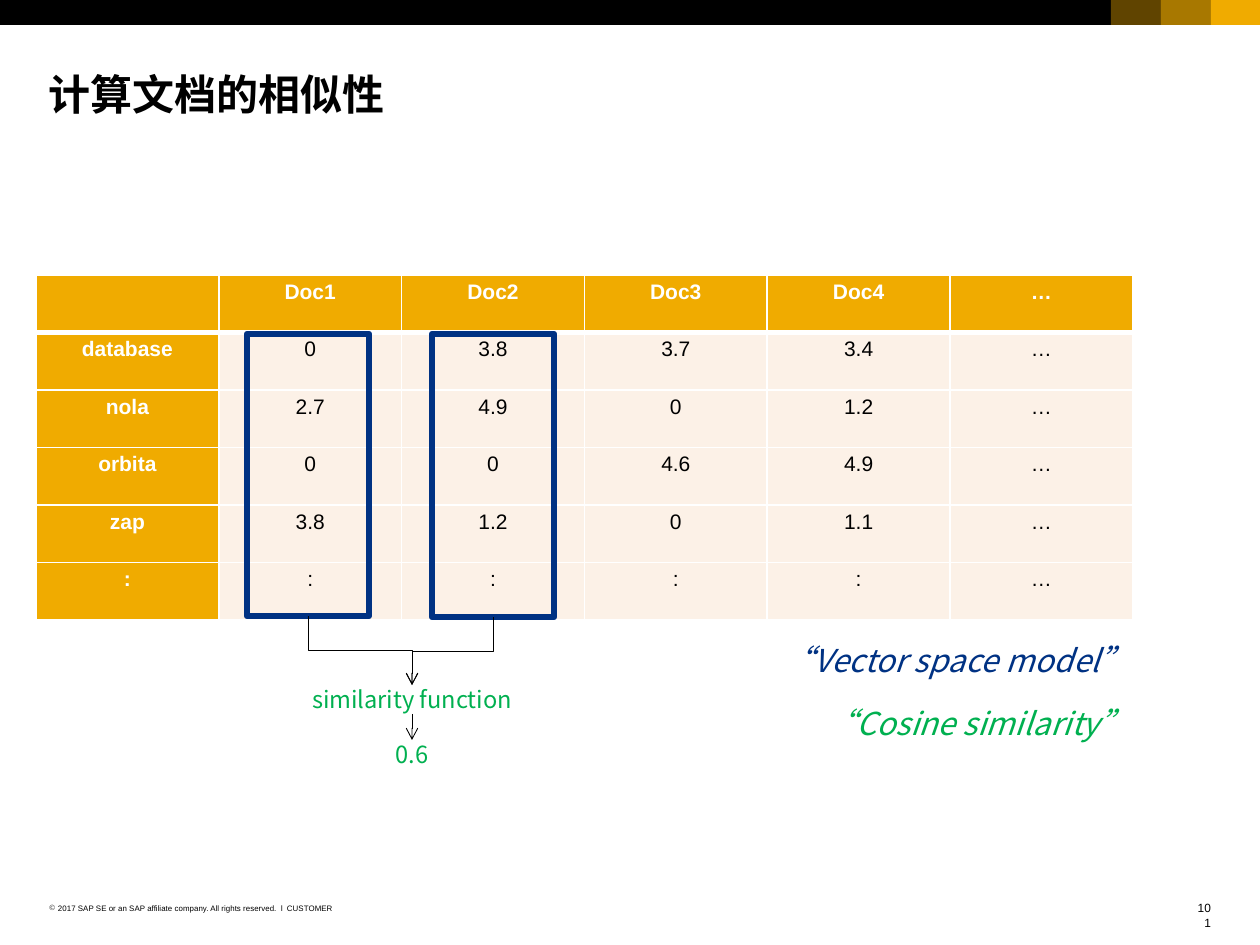
from dataclasses import dataclass

import pptx
import pptx.dml.color
import pptx.enum.shapes
import pptx.enum.text
import pptx.oxml
import pptx.oxml.ns
import pptx.util
from lxml import etree

RGB = pptx.dml.color.RGBColor
ALIGN = pptx.enum.text.PP_ALIGN
KIND = pptx.enum.shapes.MSO_CONNECTOR
RECT = pptx.enum.shapes.MSO_SHAPE.RECTANGLE
qn = pptx.oxml.ns.qn

BLACK = RGB(0x00, 0x00, 0x00)
WHITE = RGB(0xFF, 0xFF, 0xFF)
GOLD = RGB(0xF0, 0xAB, 0x00)
CREAM = RGB(0xFC, 0xF1, 0xE7)
NAVY = RGB(0x00, 0x32, 0x83)
GREEN = RGB(0x00, 0xB0, 0x50)
ARIAL = "Arial"
NOTO = "Noto Sans CJK SC"

ROWS = [
    ["", "Doc1", "Doc2", "Doc3", "Doc4", "…"],
    ["database", "0", "3.8", "3.7", "3.4", "…"],
    ["nola", "2.7", "4.9", "0", "1.2", "…"],
    ["orbita", "0", "0", "4.6", "4.9", "…"],
    ["zap", "3.8", "1.2", "0", "1.1", "…"],
    [":", ":", ":", ":", ":", "…"],
]


@dataclass
class Box:
    left: int
    top: int
    width: int
    height: int


@dataclass
class Label:
    text: str
    box: Box
    size: float
    color: RGB = BLACK
    font: str = NOTO
    align: ALIGN = ALIGN.LEFT
    bold: bool = False
    italic: bool = False
    bullet: str = ""
    indent: int = 0


def px(n: float) -> pptx.util.Emu:
    return pptx.util.Emu(round(n * 914400 / 126))


def place(box: Box) -> tuple:
    return px(box.left), px(box.top), px(box.width), px(box.height)


def style(para, size: float, color: RGB, font: str, bold=False, italic=False) -> None:
    for run in para.runs:
        face = run.font
        face.size = pptx.util.Pt(size)
        face.name = font
        face.bold = bold
        face.italic = italic
        face.color.rgb = color
        if font == NOTO:
            etree.SubElement(face._element, qn("a:ea"), typeface=font)


def add_label(slide, item: Label):
    shape = slide.shapes.add_textbox(*place(item.box))
    frame = shape.text_frame
    frame.word_wrap = True
    frame.margin_left = frame.margin_right = 0
    frame.margin_top = frame.margin_bottom = 0
    frame.text = item.text
    para = frame.paragraphs[0]
    para.alignment = item.align
    if item.bullet:
        props = para._p.get_or_add_pPr()
        props.set("marL", str(px(item.indent)))
        props.set("indent", str(-px(item.indent)))
        etree.SubElement(props, qn("a:buChar"), char=item.bullet)
    style(para, item.size, item.color, item.font, item.bold, item.italic)
    return shape


def add_bar(slide, box: Box, color: RGB, alpha: int = 100) -> None:
    bar = slide.shapes.add_shape(RECT, *place(box))
    bar.shadow.inherit = False
    bar.line.fill.background()
    bar.fill.solid()
    bar.fill.fore_color.rgb = color
    if alpha < 100:
        tint = bar._element.spPr.find(".//" + qn("a:srgbClr"))
        etree.SubElement(tint, qn("a:alpha"), val=str(alpha * 1000))


def add_frame(slide, box: Box) -> None:
    frame = slide.shapes.add_shape(RECT, *place(box))
    frame.shadow.inherit = False
    frame.fill.background()
    frame.line.color.rgb = NAVY
    frame.line.width = pptx.util.Pt(3.75)


def edge(cell, sides: str, width: int) -> None:
    props = cell._tc.get_or_add_tcPr()
    for spot, side in enumerate(sides):
        props.insert(spot, pptx.oxml.parse_xml(
            f'<a:ln{side} {pptx.oxml.ns.nsdecls("a")} w="{width * 12700}">'
            f'<a:solidFill><a:srgbClr val="{WHITE}"/></a:solidFill></a:ln{side}>'))


def add_grid(slide, box: Box, rows: list[list[str]]) -> None:
    grid = slide.shapes.add_table(len(rows), len(rows[0]), *place(box)).table
    for r, row in enumerate(rows):
        for c, text in enumerate(row):
            cell = grid.cell(r, c)
            head = r == 0 or c == 0
            cell.fill.solid()
            cell.fill.fore_color.rgb = GOLD if head else CREAM
            cell.margin_left = cell.margin_right = px(9)
            cell.margin_top = cell.margin_bottom = px(5)
            cell.text_frame.text = text
            para = cell.text_frame.paragraphs[0]
            para.alignment = ALIGN.CENTER
            style(para, 12, WHITE if head else BLACK, ARIAL, head)
            edge(cell, "B", 3 if r == 0 else 1)
            edge(cell, "LR", 1)
            # The thick header rule is shared with the row below
            cell_top = 3 if r == 1 else 1
            props = cell._tc.tcPr
            edge(cell, "T", cell_top)
            props.insert(2, props[0])


def dress(link) -> None:
    link.line.color.rgb = BLACK
    link.line.width = pptx.util.Pt(0.5)
    etree.SubElement(link.line._get_or_add_ln(), qn("a:tailEnd"), type="arrow")
    etree.SubElement(link._element.spPr, qn("a:effectLst"))


def add_elbow(slide, x1: int, y1: int, x2: int, y2: int) -> None:
    """Leaves downwards: a level elbow turned a quarter about its centre."""
    midx, midy = (x1 + x2) / 2, (y1 + y2) / 2
    half, rise = (y2 - y1) / 2, abs(x2 - x1) / 2
    way = -1 if x2 > x1 else 1
    link = slide.shapes.add_connector(
        KIND.ELBOW, px(midx - way * half), px(midy - rise),
        px(midx + way * half), px(midy + rise))
    link._element.spPr.xfrm.set("rot", "16200000" if way < 0 else "5400000")
    dress(link)


def main() -> None:
    deck = pptx.Presentation()
    deck.slide_width, deck.slide_height = px(1260), px(945)
    slide = deck.slides.add_slide(deck.slide_layouts[6])

    # Footer
    for item in (
        Label("101", Box(1196, 901, 15, 14), 6.8, font=ARIAL, align=ALIGN.RIGHT),
        Label("CUSTOMER", Box(287, 904, 60, 10), 4.5, font=ARIAL),
        Label("2017 SAP SE or an SAP affiliate company. All rights reserved.  ǀ",
              Box(49, 904, 235, 10), 4.5, font=ARIAL, bullet="©", indent=9),
    ):
        add_label(slide, item)

    # Top band
    add_bar(slide, Box(0, 0, 1260, 25), BLACK)
    for i, alpha in enumerate((40, 70, 100)):
        add_bar(slide, Box(1111 + 50 * i, 0, 49 if i == 2 else 50, 25), GOLD, alpha)

    # Term weights and headings
    add_grid(slide, Box(36, 275, 1097, 345), ROWS)
    add_label(slide, Label("计算文档的相似性", Box(49, 69, 1160, 50), 24, bold=True))
    for text, top, color in (("“Vector space model”", 641, NAVY),
                             ("“Cosine similarity”", 704, GREEN)):
        add_label(slide, Label(text, Box(718, top, 413, 38), 18, color,
                               align=ALIGN.RIGHT, italic=True))

    # Compared columns and their score
    func, score = (
        add_label(slide, Label(text, box, 13.5, GREEN, align=ALIGN.CENTER))
        for text, box in (("similarity function", Box(300, 685, 224, 29)),
                          ("0.6", Box(372, 740, 80, 29))))
    for box in (Box(247, 334, 122, 282), Box(432, 334, 122, 283)):
        add_frame(slide, box)
        add_elbow(slide, box.left + box.width // 2, box.top + box.height, 412, 685)
    arrow = slide.shapes.add_connector(KIND.STRAIGHT, px(412), px(714), px(412), px(740))
    arrow.begin_connect(func, 2)
    arrow.end_connect(score, 0)
    dress(arrow)

    deck.save("out.pptx")


if __name__ == "__main__":
    main()
